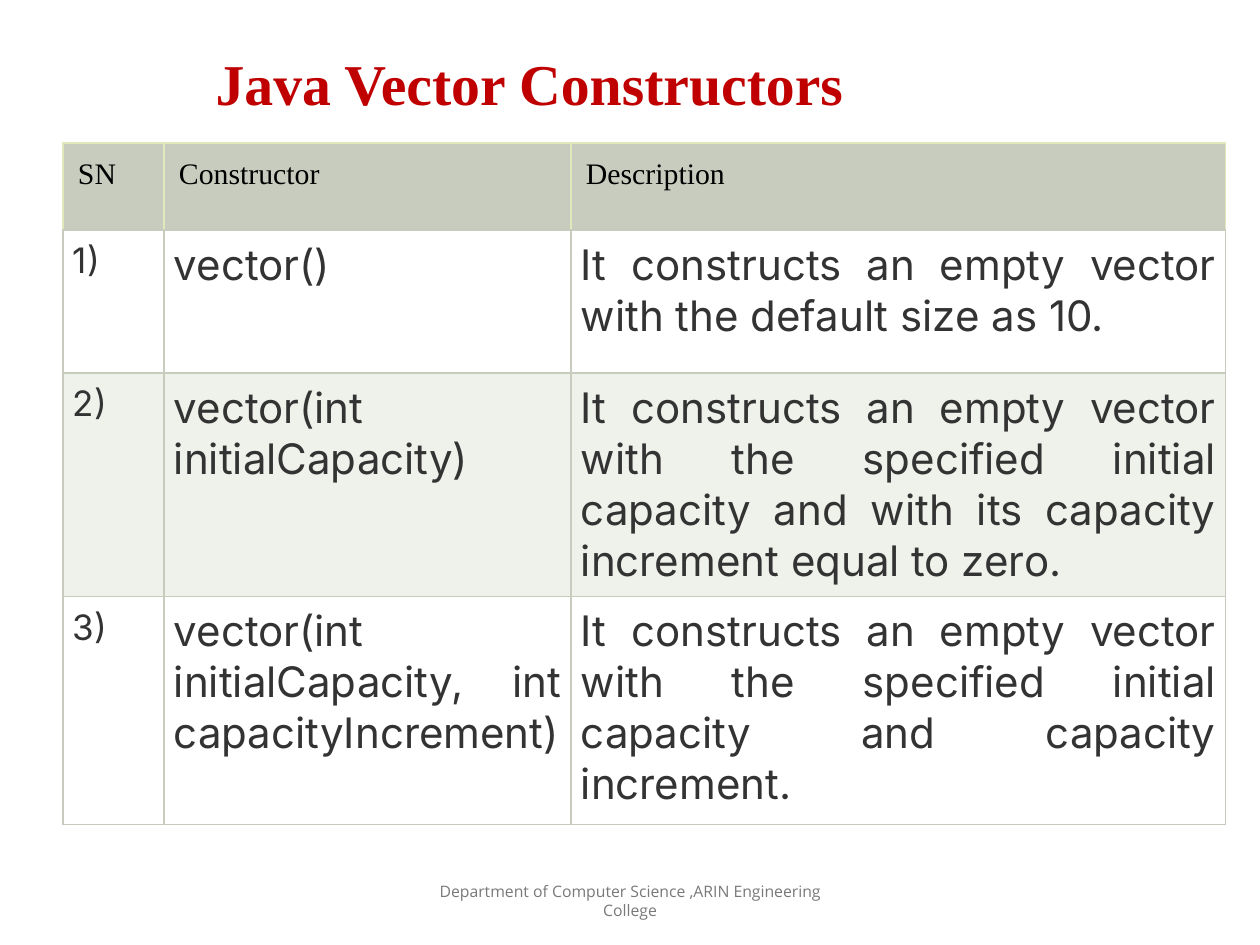
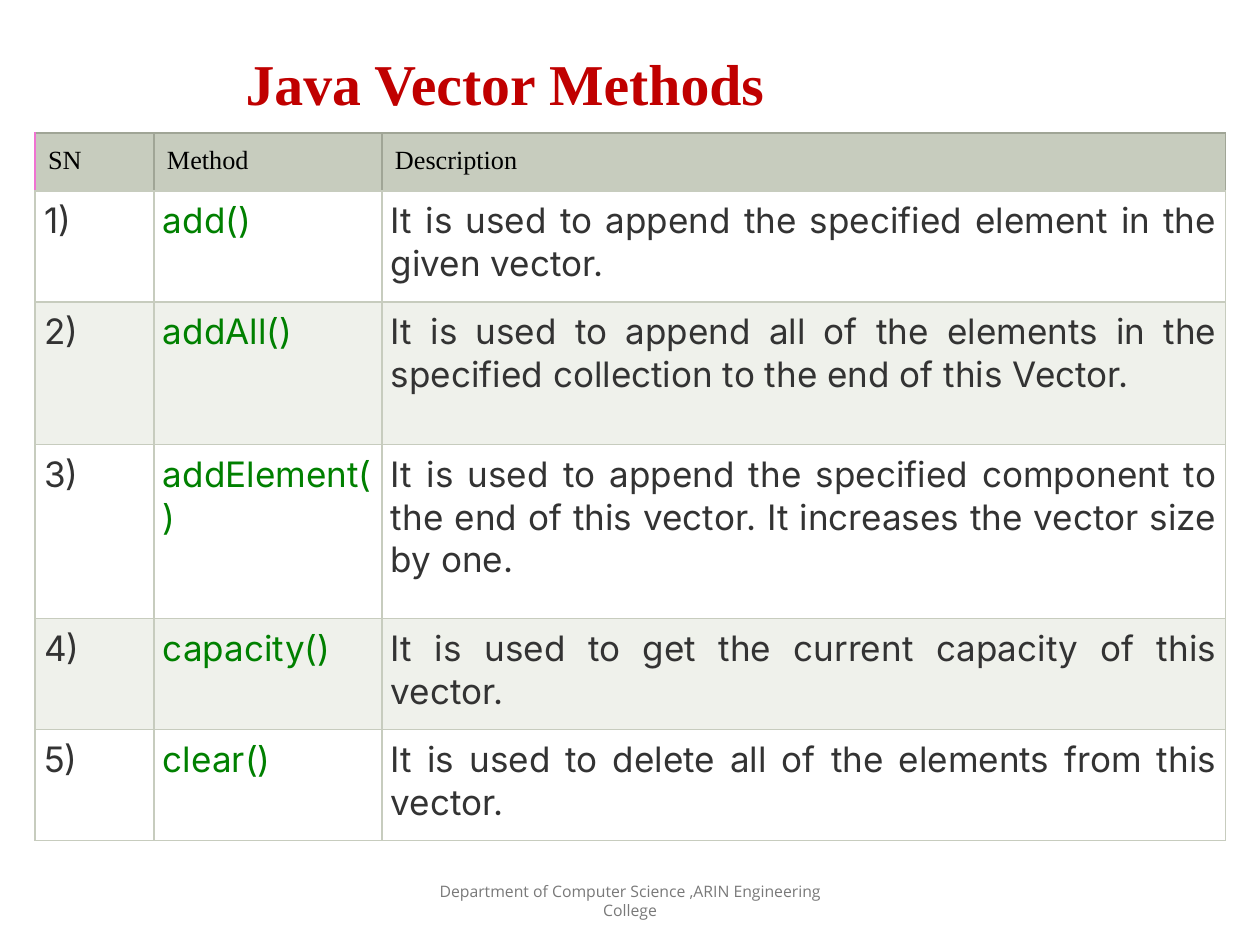
"""Build two slides of tables on Java Vector constructors and methods."""
from dataclasses import dataclass

from lxml.etree import SubElement
from pptx import Presentation
from pptx.dml.color import RGBColor
from pptx.enum.text import MSO_ANCHOR, MSO_AUTO_SIZE, PP_ALIGN
from pptx.oxml.ns import qn
from pptx.util import Emu, Pt


@dataclass(frozen=True)
class Theme:
    title_font: str = "Times New Roman"
    body_font: str = "Inter"
    footer_font: str = "Open Sans"
    title: str = "C00000"
    header_text: str = "000000"
    body: str = "333333"
    method: str = "008000"
    footer: str = "797979"
    grid: str = "C7CCBE"
    band: str = "EFF1EB"
    paper: str = "FFFFFF"
    title_size: int = 33
    footer_size: int = 9
    number_size: int = 20


THEME = Theme()
PX = 914400 / 126
FOOTER = "Department of Computer Science ,ARIN Engineering College"


def px(*lengths):
    return [Emu(round(length * PX)) for length in lengths]


def write(frame, text, *, font, size, color, bold=False, align=PP_ALIGN.LEFT, spacing=None):
    frame.word_wrap = True
    paragraph = frame.paragraphs[0]
    paragraph.alignment = align
    paragraph.line_spacing = spacing
    run = paragraph.add_run()
    run.text = text
    run.font.name = font
    run.font.size = Pt(size)
    run.font.bold = bold
    run.font.color.rgb = RGBColor.from_string(color)


PAGES = [
    dict(
        title="Java Vector Constructors", title_box=(203, 38, 1022, 97),
        table_box=(63, 143, 1163, 650), columns=(101, 407, 655), heights=(87, 143, 193, 228),
        header_inset=15, body_inset=10, header_size=17, body_size=24, name_color=THEME.body,
        edge="E0E8BC", header_line="E0E8BC",
        rows=[
            ("SN", "Constructor", "Description"),
            ("1)", "vector()", "It constructs an empty vector with the default size as 10."),
            ("2)", "vector(int initialCapacity)",
             "It constructs an empty vector with the specified initial capacity "
             "and with its capacity increment equal to zero."),
            ("3)", "vector(int initialCapacity, int capacityIncrement)",
             "It constructs an empty vector with the specified initial capacity "
             "and capacity increment."),
        ],
    ),
    dict(
        title="Java Vector Methods", title_box=(233, 38, 992, 97),
        table_box=(35, 133, 1191, 709), columns=(119, 228, 844),
        heights=(58, 111, 143, 174, 111, 111),
        header_inset=13, body_inset=9, header_size=15, body_size=20, name_color=THEME.method,
        edge="F073D2", header_line="A0A596",
        rows=[
            ("SN", "Method", "Description"),
            ("1)", "add()", "It is used to append the specified element in the given vector."),
            ("2)", "addAll()",
             "It is used to append all of the elements in the specified collection "
             "to the end of this Vector."),
            ("3)", "addElement()",
             "It is used to append the specified component to the end of this vector. "
             "It increases the vector size by one."),
            ("4)", "capacity()", "It is used to get the current capacity of this vector."),
            ("5)", "clear()", "It is used to delete all of the elements from this vector."),
        ],
    ),
]

deck = Presentation()
deck.slide_width, deck.slide_height = px(1260, 945)

for page in PAGES:
    slide = deck.slides.add_slide(deck.slide_layouts[5])
    title = slide.shapes.title
    title.left, title.top, title.width, title.height = px(*page["title_box"])
    title.text_frame.vertical_anchor = MSO_ANCHOR.MIDDLE
    title.text_frame.auto_size = MSO_AUTO_SIZE.NONE
    write(title.text_frame, page["title"], font=THEME.title_font, size=THEME.title_size,
          color=THEME.title, bold=True, spacing=0.9)

    rows = page["rows"]
    table = slide.shapes.add_table(len(rows), 3, *px(*page["table_box"])).table
    for column, width in zip(table.columns, px(*page["columns"])):
        column.width = width
    for row, height in zip(table.rows, px(*page["heights"])):
        row.height = height

    for r, texts in enumerate(rows):
        is_header = r == 0
        for c, text in enumerate(texts):
            cell = table.cell(r, c)
            inset, = px(page["header_inset"] if is_header else page["body_inset"])
            cell.margin_left = cell.margin_right = inset
            cell.margin_top = cell.margin_bottom = inset

            line = page["header_line"] if is_header else THEME.grid
            left = page["edge"] if is_header and c == 0 else line
            borders = {"a:lnL": left, "a:lnR": line, "a:lnT": THEME.grid if r else line,
                       "a:lnB": THEME.grid}
            properties = cell._tc.get_or_add_tcPr()
            for side, color in borders.items():
                border = SubElement(properties, qn(side), w=str(Pt(0.75)))
                SubElement(SubElement(border, qn("a:solidFill")), qn("a:srgbClr"), val=color)

            band = THEME.paper if r % 2 else THEME.band
            cell.fill.solid()
            cell.fill.fore_color.rgb = RGBColor.from_string(THEME.grid if is_header else band)
            if is_header:
                write(cell.text_frame, text, font=THEME.title_font,
                      size=page["header_size"], color=THEME.header_text)
            else:
                write(cell.text_frame, text, font=THEME.body_font,
                      size=page["body_size"] if c else THEME.number_size,
                      color=page["name_color"] if c == 1 else THEME.body,
                      align=PP_ALIGN.JUSTIFY)

    footer = slide.shapes.add_textbox(*px(417, 876, 426, 50)).text_frame
    footer.vertical_anchor = MSO_ANCHOR.MIDDLE
    write(footer, FOOTER, font=THEME.footer_font, size=THEME.footer_size,
          color=THEME.footer, align=PP_ALIGN.CENTER)

deck.save("out.pptx")
